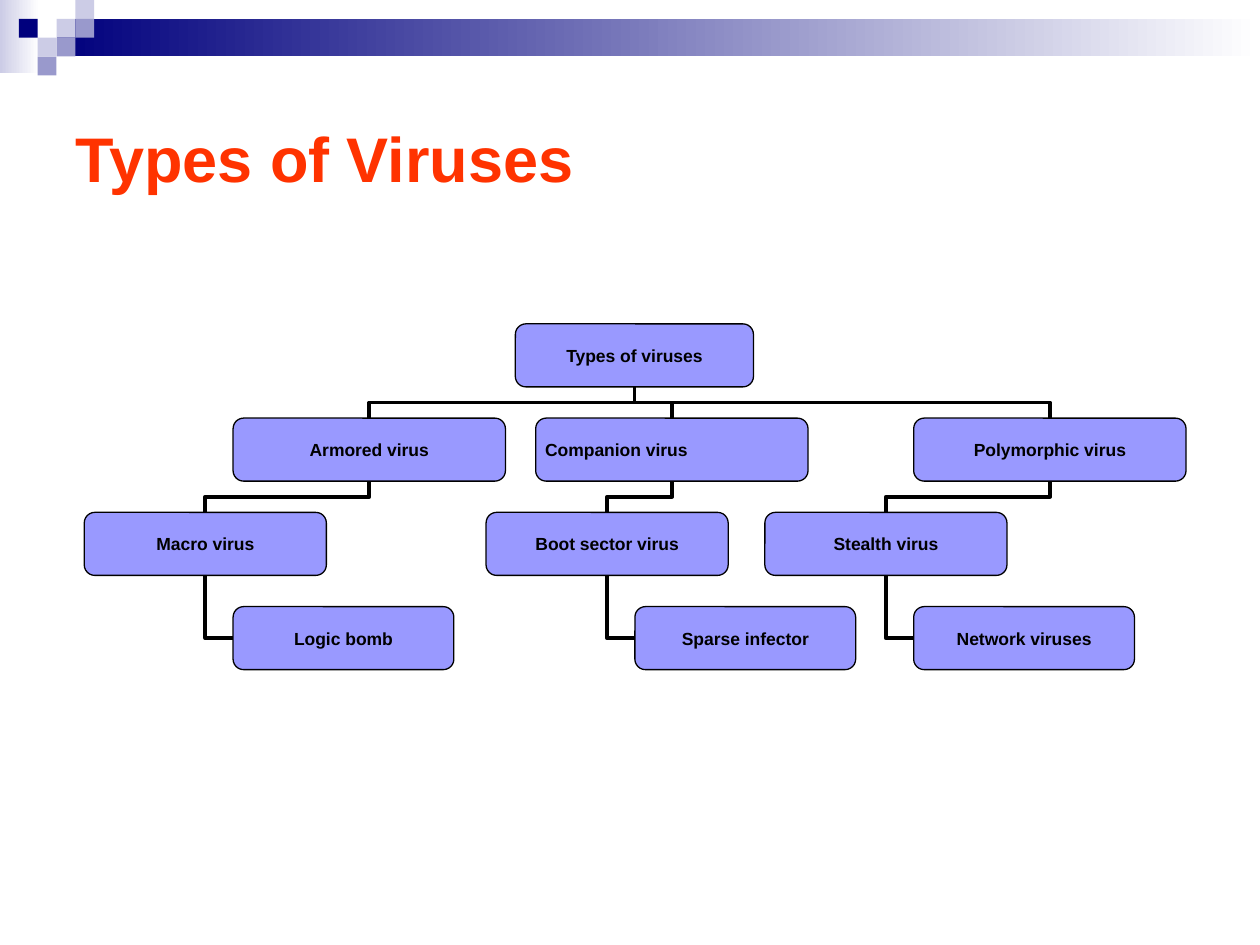
from dataclasses import dataclass

from lxml.etree import SubElement
from pptx import Presentation
from pptx.dml.color import RGBColor as Rgb
from pptx.enum.shapes import MSO_CONNECTOR as Link, MSO_SHAPE as Shape
from pptx.enum.text import MSO_ANCHOR as Anchor, PP_ALIGN as Align
from pptx.oxml.ns import qn
from pptx.util import Cm, Pt


@dataclass(frozen=True)
class Theme:
    font: str = "Arial"
    title_size: Pt = Pt(36)
    box_size: Pt = Pt(10)
    title: Rgb = Rgb(0xFF, 0x33, 0x00)
    ink: Rgb = Rgb(0x00, 0x00, 0x00)
    paper: Rgb = Rgb(0xFF, 0xFF, 0xFF)
    box: Rgb = Rgb(0x99, 0x99, 0xFF)
    navy: Rgb = Rgb(0x00, 0x00, 0x7D)
    mid: Rgb = Rgb(0x99, 0x99, 0xCC)
    pale: Rgb = Rgb(0xCC, 0xCC, 0xE6)


THEME = Theme()
SQUARE = 0.38
ROW_TOP, ROW_PITCH, BOX_HEIGHT = 6.53, 1.9, 1.27
ROOT_LEFT, ROOT_WIDTH = 10.39, 4.8
KIND_WIDTH, SUBKIND_WIDTH, LEAF_WIDTH = 5.49, 4.88, 4.45
LEAF_INDENT = 3.0

SQUARES = [  # column, row, colour
    (3, 1, THEME.pale), (4, 0, THEME.pale), (4, 1, THEME.mid),
    (2, 2, THEME.pale), (1, 1, THEME.navy), (3, 2, THEME.mid),
    (2, 3, THEME.mid),
]
BRANCHES = [  # kind, its left, its alignment, subkind, its left, leaf
    ("Armored virus", 4.7, Align.CENTER, "Macro virus", 1.7, "Logic bomb"),
    ("Companion virus", 10.8, Align.LEFT, "Boot sector virus", 9.8, "Sparse infector"),
    ("Polymorphic virus", 18.42, Align.CENTER, "Stealth virus", 15.42, "Network viruses"),
]


def add_block(page, left, top, width, height, shape=Shape.RECTANGLE):
    block = page.shapes.add_shape(shape, Cm(left), Cm(top), Cm(width), Cm(height))
    block.shadow.inherit = False
    block.line.fill.background()
    return block


def paint(block, colour):
    block.fill.solid()
    block.fill.fore_color.rgb = colour


def fade(block, colour):
    """Fill the block with a left-to-right gradient into the paper colour."""
    block.fill.gradient()
    block.fill.gradient_angle = 0
    for stop, shade in zip(block.fill.gradient_stops, (colour, THEME.paper)):
        stop.color.rgb = shade


def write(shape, text, size, colour, align):
    frame = shape.text_frame
    frame.word_wrap = True
    frame.vertical_anchor = Anchor.MIDDLE
    para = frame.paragraphs[0]
    para.alignment = align
    span = para.add_run()
    span.text = text
    span.font.name, span.font.size, span.font.bold = THEME.font, size, True
    span.font.color.rgb = colour


def add_banner(page):
    fade(add_block(page, 0, 0, 0.79, 1.47), THEME.pale)
    fade(add_block(page, 3 * SQUARE, SQUARE, 24.26, 2 * SQUARE), THEME.navy)
    for column, row, colour in SQUARES:
        paint(add_block(page, column * SQUARE, row * SQUARE, SQUARE, SQUARE), colour)


def add_title(page, text):
    title = page.shapes.add_textbox(Cm(1.27), Cm(1.27), Cm(22.86), Cm(3.81))
    write(title, text, THEME.title_size, THEME.title, Align.LEFT)


def add_node(page, text, row, left, width, align=Align.CENTER):
    node = add_block(page, left, ROW_TOP + row * ROW_PITCH, width, BOX_HEIGHT,
                     Shape.ROUNDED_RECTANGLE)
    paint(node, THEME.box)
    node.line.color.rgb = THEME.ink
    node.line.width = Pt(0.75)
    frame = node.text_frame
    frame.margin_left = frame.margin_right = Cm(0.13)
    frame.margin_top = frame.margin_bottom = Cm(0.08)
    write(node, text, THEME.box_size, THEME.ink, align)
    return node


def add_elbow(page, start, start_site, end, end_site):
    """Join two nodes; return the elbow with the corners of its extent."""
    elbow = page.shapes.add_connector(Link.ELBOW, 0, 0, 0, 0)
    elbow.begin_connect(start, start_site)
    elbow.end_connect(end, end_site)
    elbow.line.color.rgb = THEME.ink
    elbow.line.width = Pt(2.25)
    SubElement(elbow.element.spPr, qn("a:effectLst"))
    return elbow, elbow.begin_x, elbow.begin_y, elbow.end_x, elbow.end_y


def turn(elbow, degrees, flip=False):
    frame = elbow.element.spPr.find(qn("a:xfrm"))
    frame.set("rot", str(degrees * 60000))
    frame.set("flipH", str(int(flip)))
    frame.set("flipV", "0")


def link_down(page, parent, child):
    """Run from the parent's bottom to the child's top, bending halfway down."""
    elbow, x1, y1, x2, y2 = add_elbow(page, parent, 2, child, 0)
    # The extent is stored before its quarter turn, about the same centre.
    elbow.width, elbow.height = y2 - y1, abs(x2 - x1)
    elbow.left = (x1 + x2 - elbow.width) // 2
    elbow.top = (y1 + y2 - elbow.height) // 2
    to_right = x2 > x1
    turn(elbow, 270 if to_right else 90, flip=to_right)


def link_side(page, parent, leaf):
    """Run from the leaf's left side to the parent's bottom with one corner."""
    elbow = add_elbow(page, leaf, 1, parent, 2)[0]
    elbow.element.spPr.find(qn("a:prstGeom")).set("prst", "bentConnector2")
    turn(elbow, 180)


def add_tree(page):
    root = add_node(page, "Types of viruses", 0, ROOT_LEFT, ROOT_WIDTH)
    for kind_text, kind_left, align, subkind_text, subkind_left, leaf_text in BRANCHES:
        kind = add_node(page, kind_text, 1, kind_left, KIND_WIDTH, align)
        subkind = add_node(page, subkind_text, 2, subkind_left, SUBKIND_WIDTH)
        leaf = add_node(page, leaf_text, 3, subkind_left + LEAF_INDENT, LEAF_WIDTH)
        link_down(page, root, kind)
        link_down(page, kind, subkind)
        link_side(page, subkind, leaf)


def main():
    deck = Presentation()
    deck.slide_width, deck.slide_height = Cm(25.4), Cm(19.05)
    page = deck.slides.add_slide(deck.slide_layouts[6])
    add_banner(page)
    add_title(page, "Types of Viruses")
    add_tree(page)
    deck.save("out.pptx")


if __name__ == "__main__":
    main()
